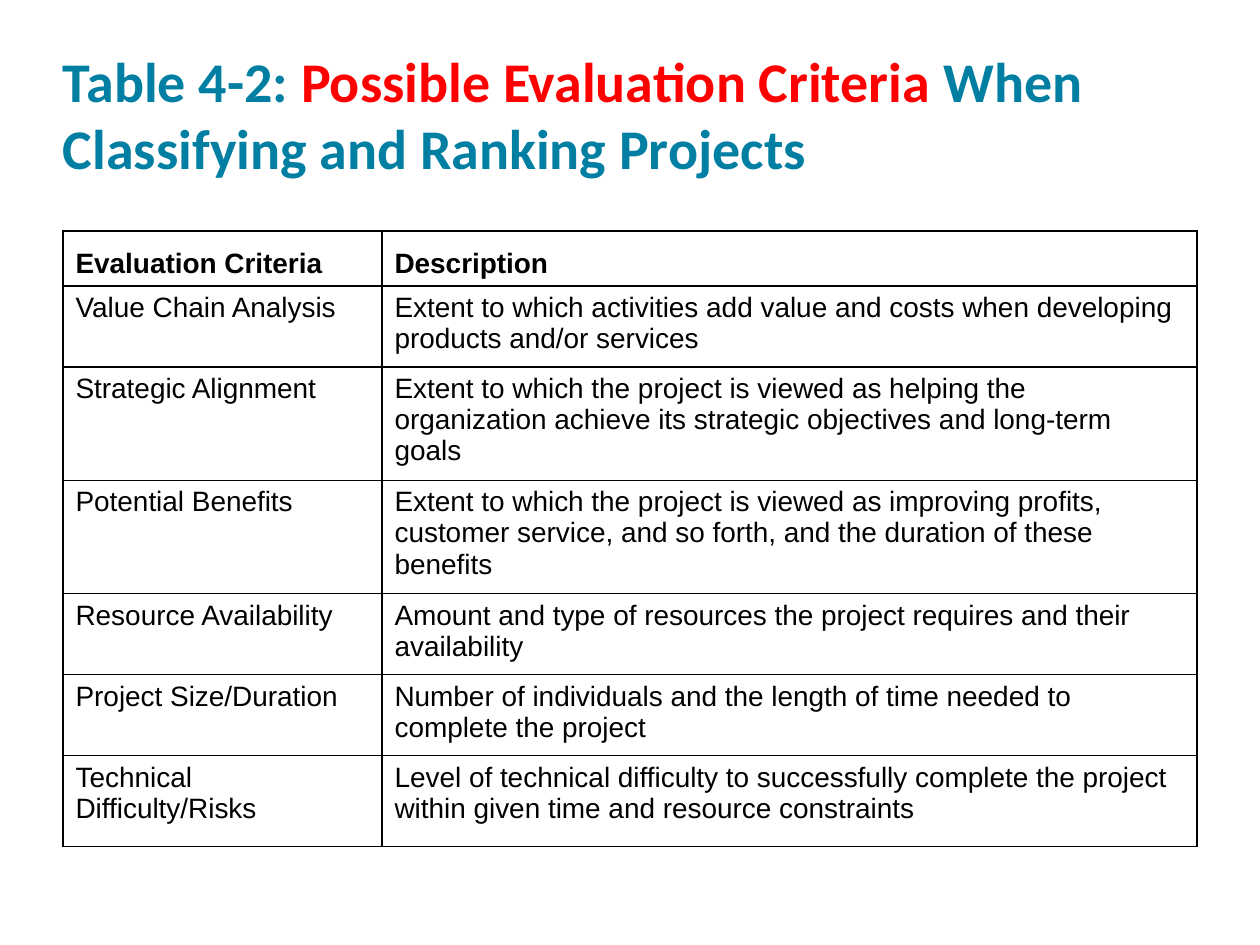
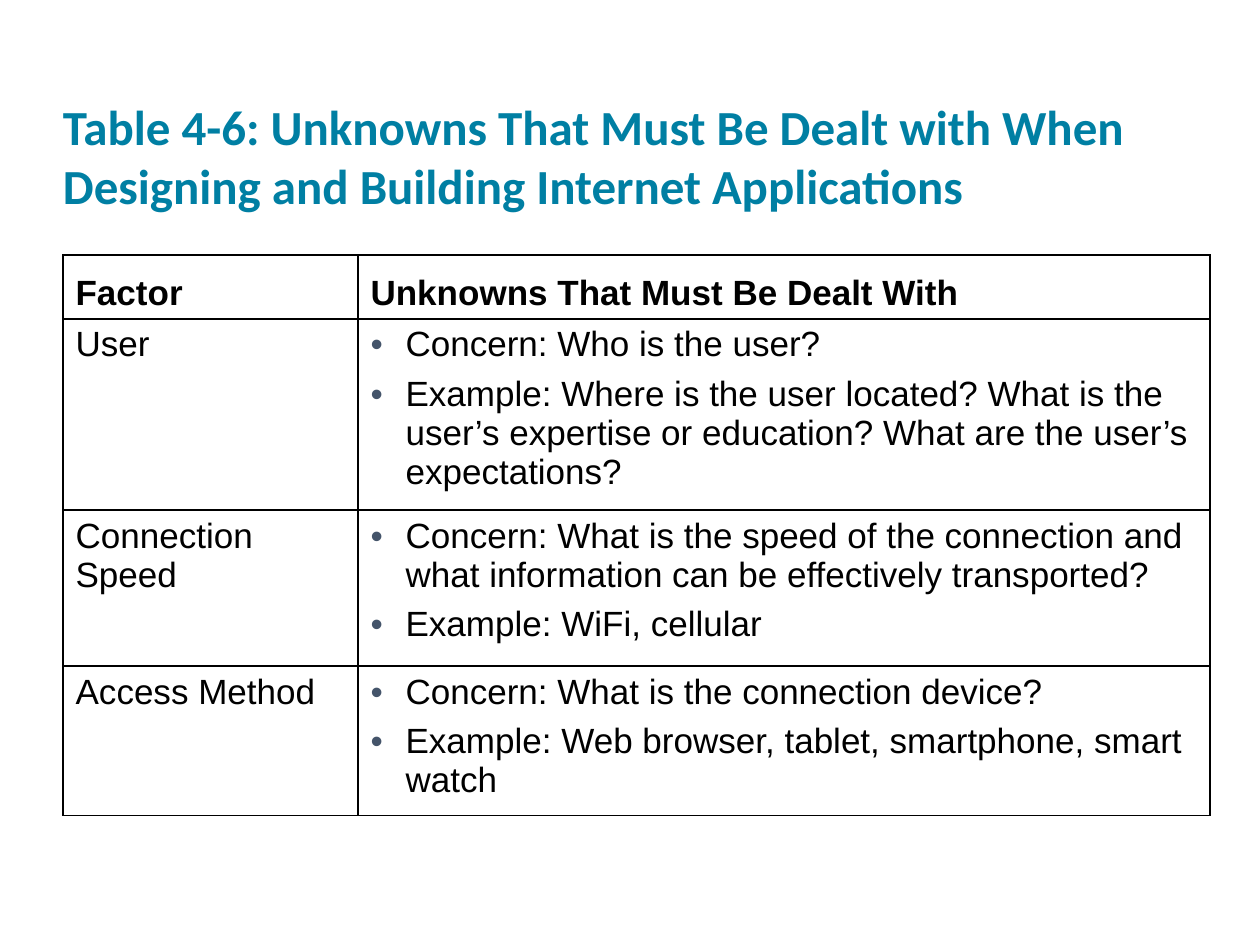
import pptx
import pptx.dml.color
import pptx.enum.text
import pptx.oxml.ns
import pptx.util
from lxml import etree

TEAL, RED, BLACK, WHITE, SLATE = "007FA3", "FF0000", "000000", "FFFFFF", "44546A"
TITLE_FONT, TABLE_FONT = "Calibri", "Arial"
SLIDE_SIZE = (1260, 945)
LEFT, TITLE_TOP, TITLE_WIDTH = 63, 30, 1134
BULLET_INDENT = 35

# Content: a list in a cell becomes bullets
SLIDES = [
    {
        "title": [
            ("Table 4-2: ", TEAL),
            ("Possible Evaluation Criteria ", RED),
            ("When Classifying and Ranking Projects", TEAL),
        ],
        "title_size": 32, "title_height": 151,
        "table_top": 231, "table_size": 16,
        "columns": [319, 815],
        "row_heights": [55, 81, 91, 91, 81, 81, 91],
        "rows": [
            ("Evaluation Criteria", "Description"),
            ("Value Chain Analysis",
             "Extent to which activities add value and costs when developing "
             "products and/or services"),
            ("Strategic Alignment",
             "Extent to which the project is viewed as helping the organization "
             "achieve its strategic objectives and long-term goals"),
            ("Potential Benefits",
             "Extent to which the project is viewed as improving profits, customer "
             "service, and so forth, and the duration of these benefits"),
            ("Resource Availability",
             "Amount and type of resources the project requires and their availability"),
            ("Project Size/Duration",
             "Number of individuals and the length of time needed to complete the project"),
            ("Technical Difficulty/Risks",
             "Level of technical difficulty to successfully complete the project "
             "within given time and resource constraints"),
        ],
    },
    {
        "title": [
            ("Table 4-6: Unknowns That Must Be Dealt with When Designing and "
             "Building Internet Applications", TEAL),
        ],
        "title_size": 28, "title_height": 184,
        "table_top": 255, "table_size": 20,
        "columns": [295, 852],
        "row_heights": [64, 156, 156, 115],
        "rows": [
            ("Factor", "Unknowns That Must Be Dealt With"),
            ("User",
             ["Concern: Who is the user?",
              "Example: Where is the user located? What is the user’s expertise or "
              "education? What are the user’s expectations?"]),
            ("Connection Speed",
             ["Concern: What is the speed of the connection and what information "
              "can be effectively transported?",
              "Example: WiFi, cellular"]),
            ("Access Method",
             ["Concern: What is the connection device?",
              "Example: Web browser, tablet, smartphone, smart watch"]),
        ],
    },
]


def px(length):
    return pptx.util.Emu(round(length * 914400 / 126))


def color(value):
    return pptx.dml.color.RGBColor.from_string(value)


def add_xml(parent, tag, **attributes):
    return etree.SubElement(parent, pptx.oxml.ns.qn(tag), attributes)


def set_font(font, name, size, bold):
    font.name, font.size, font.bold = name, pptx.util.Pt(size), bold


def add_title(slide, content):
    box = slide.shapes.add_textbox(
        px(LEFT), px(TITLE_TOP), px(TITLE_WIDTH), px(content["title_height"]))
    frame = box.text_frame
    frame.word_wrap = True
    frame.vertical_anchor = pptx.enum.text.MSO_ANCHOR.BOTTOM
    frame.margin_left = frame.margin_right = frame.margin_top = frame.margin_bottom = 0
    paragraph = frame.paragraphs[0]
    set_font(paragraph.font, TITLE_FONT, content["title_size"], True)
    for words, run_color in content["title"]:
        run = paragraph.add_run()
        run.text = words
        run.font.color.rgb = color(run_color)


def add_bullet(paragraph):
    properties = paragraph._p.get_or_add_pPr()
    properties.set("marL", str(px(BULLET_INDENT)))
    properties.set("indent", str(-px(BULLET_INDENT)))
    add_xml(add_xml(properties, "a:buClr"), "a:srgbClr", val=SLATE)
    add_xml(properties, "a:buFont", typeface=TABLE_FONT)
    add_xml(properties, "a:buChar", char="•")


def add_borders(cell):
    properties = cell._tc.get_or_add_tcPr()
    for side in ("a:lnL", "a:lnR", "a:lnT", "a:lnB"):
        line = add_xml(properties, side, w=str(pptx.util.Pt(1)))
        add_xml(add_xml(line, "a:solidFill"), "a:srgbClr", val=BLACK)


def fill_cell(cell, content, size, is_header):
    # Borders come before the fill in the cell properties
    add_borders(cell)
    cell.fill.solid()
    cell.fill.fore_color.rgb = color(WHITE)
    if is_header:
        cell.vertical_anchor = pptx.enum.text.MSO_ANCHOR.BOTTOM
    bulleted = isinstance(content, list)
    frame = cell.text_frame
    for index, words in enumerate(content if bulleted else [content]):
        paragraph = frame.add_paragraph() if index else frame.paragraphs[0]
        paragraph.text = words
        if index:
            paragraph.space_before = pptx.util.Pt(6)
        if bulleted:
            add_bullet(paragraph)
        set_font(paragraph.font, TABLE_FONT, size, is_header)
        paragraph.font.color.rgb = color(BLACK)


def add_table(slide, content):
    rows, columns, heights = content["rows"], content["columns"], content["row_heights"]
    table = slide.shapes.add_table(
        len(rows), len(columns), px(LEFT), px(content["table_top"]),
        px(sum(columns)), px(sum(heights))).table
    table.first_row = table.horz_banding = False
    for column, width in zip(table.columns, columns):
        column.width = px(width)
    for r, (row, height) in enumerate(zip(rows, heights)):
        table.rows[r].height = px(height)
        for c, cell_content in enumerate(row):
            fill_cell(table.cell(r, c), cell_content, content["table_size"], r == 0)


def main():
    deck = pptx.Presentation()
    deck.slide_width, deck.slide_height = map(px, SLIDE_SIZE)
    for content in SLIDES:
        slide = deck.slides.add_slide(deck.slide_layouts[6])
        add_title(slide, content)
        add_table(slide, content)
    deck.save("out.pptx")


if __name__ == "__main__":
    main()
